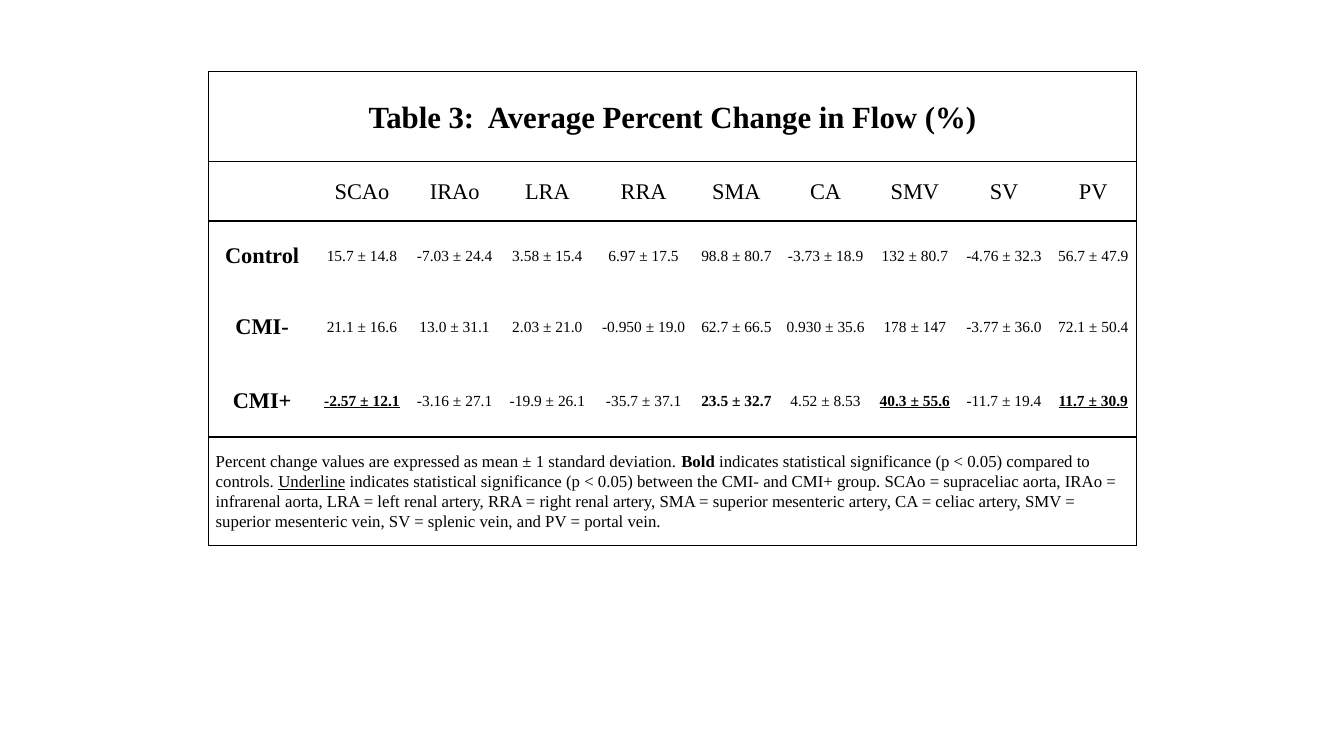
from lxml import etree
from pptx import Presentation
from pptx.dml.color import RGBColor
from pptx.enum.text import MSO_ANCHOR, PP_ALIGN
from pptx.oxml.ns import qn
from pptx.util import Inches, Pt

CENTER, LEFT = PP_ALIGN.CENTER, PP_ALIGN.LEFT
MIDDLE = MSO_ANCHOR.MIDDLE
COLORS = {"ink": "000000"}
FONT = "Times New Roman"
OUTER, INNER = 1, 1.5

COLUMN_WIDTHS = [1.06, 0.92, 0.92, 0.92, 0.99, 0.85, 0.92, 0.85, 0.92, 0.85]
ROW_HEIGHTS = [0.89, 0.59, 0.68, 0.73, 0.73, 1.07]
RULED_ROWS = {0, 1, 4}

TITLE = "Table 3:  Average Percent Change in Flow (%)"
VESSELS = ["SCAo", "IRAo", "LRA", "RRA", "SMA", "CA", "SMV", "SV", "PV"]
GROUPS = {
    "Control": ["15.7 ± 14.8", "-7.03 ± 24.4", "3.58 ± 15.4", "6.97 ± 17.5", "98.8 ± 80.7",
                "-3.73 ± 18.9", "132 ± 80.7", "-4.76 ± 32.3", "56.7 ± 47.9"],
    "CMI-": ["21.1 ± 16.6", "13.0 ± 31.1", "2.03 ± 21.0", "-0.950 ± 19.0", "62.7 ± 66.5",
             "0.930 ± 35.6", "178 ± 147", "-3.77 ± 36.0", "72.1 ± 50.4"],
    "CMI+": ["-2.57 ± 12.1", "-3.16 ± 27.1", "-19.9 ± 26.1", "-35.7 ± 37.1", "23.5 ± 32.7",
             "4.52 ± 8.53", "40.3 ± 55.6", "-11.7 ± 19.4", "11.7 ± 30.9"],
}
SIGNIFICANT = {
    ("CMI+", "SCAo"): "bu",
    ("CMI+", "SMA"): "b",
    ("CMI+", "SMV"): "bu",
    ("CMI+", "PV"): "bu",
}
FOOTNOTE = [
    ("Percent change values are expressed as mean ± 1 standard deviation. ", ""),
    ("Bold ", "b"),
    ("indicates statistical significance (p < 0.05) compared to controls. ", ""),
    ("Underline", "u"),
    (" ", "i"),
    ("indicates statistical significance (p < 0.05) between the CMI- and CMI+ group. "
     "SCAo = supraceliac aorta, IRAo = infrarenal aorta, LRA = left renal artery, "
     "RRA = right renal artery, SMA = superior mesenteric artery, CA = celiac artery, "
     "SMV = superior mesenteric vein, SV = splenic vein, and PV = portal vein.", ""),
]


def write_cell(cell, spans, size, align=CENTER):
    para = cell.text_frame.paragraphs[0]
    para.alignment = align
    para.line_spacing = 1.07
    for text, style in spans:
        span = para.add_run()
        span.text = text
        font = span.font
        font.name = FONT
        font.size = Pt(size)
        font.color.rgb = RGBColor.from_string(COLORS["ink"])
        font.bold = "b" in style
        font.italic = "i" in style
        font.underline = "u" in style


def set_borders(cell, widths):
    properties = cell._tc.get_or_add_tcPr()
    for side, width in zip("LRTB", widths):
        line = etree.SubElement(properties, qn(f"a:ln{side}"), w=str(Pt(width)))
        if width:
            fill = etree.SubElement(line, qn("a:solidFill"))
            etree.SubElement(fill, qn("a:srgbClr"), val=COLORS["ink"])
        else:
            etree.SubElement(line, qn("a:noFill"))


def format_cells(table):
    last_row, last_column = len(ROW_HEIGHTS) - 1, len(COLUMN_WIDTHS) - 1
    for r in range(last_row + 1):
        top = OUTER if r == 0 else INNER if r - 1 in RULED_ROWS else 0
        bottom = OUTER if r == last_row else INNER if r in RULED_ROWS else 0
        for c in range(last_column + 1):
            cell = table.cell(r, c)
            merged = r in (0, last_row)
            left = OUTER if c == 0 else 0
            right = OUTER if c == last_column or (merged and c == 0) else 0
            set_borders(cell, (left, right, top, bottom))
            cell.fill.background()
            cell.vertical_anchor = MIDDLE
            cell.margin_left = cell.margin_right = Inches(0.07)
            cell.margin_top = cell.margin_bottom = 0


def add_flow_table(page, left, top, width, height):
    frame = page.shapes.add_table(len(ROW_HEIGHTS), len(COLUMN_WIDTHS), Inches(left),
                                  Inches(top), Inches(width), Inches(height))
    table = frame.table
    table.first_row = table.horz_banding = False
    for column, share in zip(table.columns, COLUMN_WIDTHS):
        column.width = Inches(width * share / sum(COLUMN_WIDTHS))
    for row, share in zip(table.rows, ROW_HEIGHTS):
        row.height = Inches(height * share / sum(ROW_HEIGHTS))

    last_row, last_column = len(ROW_HEIGHTS) - 1, len(COLUMN_WIDTHS) - 1
    for r in (0, last_row):
        table.cell(r, 0).merge(table.cell(r, last_column))
    format_cells(table)

    write_cell(table.cell(0, 0), [(TITLE, "b")], 22)
    for c, vessel in enumerate(VESSELS, 1):
        write_cell(table.cell(1, c), [(vessel, "")], 16)
    for r, (group, values) in enumerate(GROUPS.items(), 2):
        write_cell(table.cell(r, 0), [(group, "b")], 16)
        for c, (vessel, value) in enumerate(zip(VESSELS, values), 1):
            style = SIGNIFICANT.get((group, vessel), "")
            write_cell(table.cell(r, c), [(value, style)], 11)
    write_cell(table.cell(last_row, 0), FOOTNOTE, 12, LEFT)


def main():
    deck = Presentation()
    deck.slide_width, deck.slide_height = Inches(13.33), Inches(7.5)
    page = deck.slides.add_slide(deck.slide_layouts[6])
    add_flow_table(page, 2.07, 0.71, 9.2, 4.7)
    deck.save("out.pptx")


if __name__ == "__main__":
    main()
